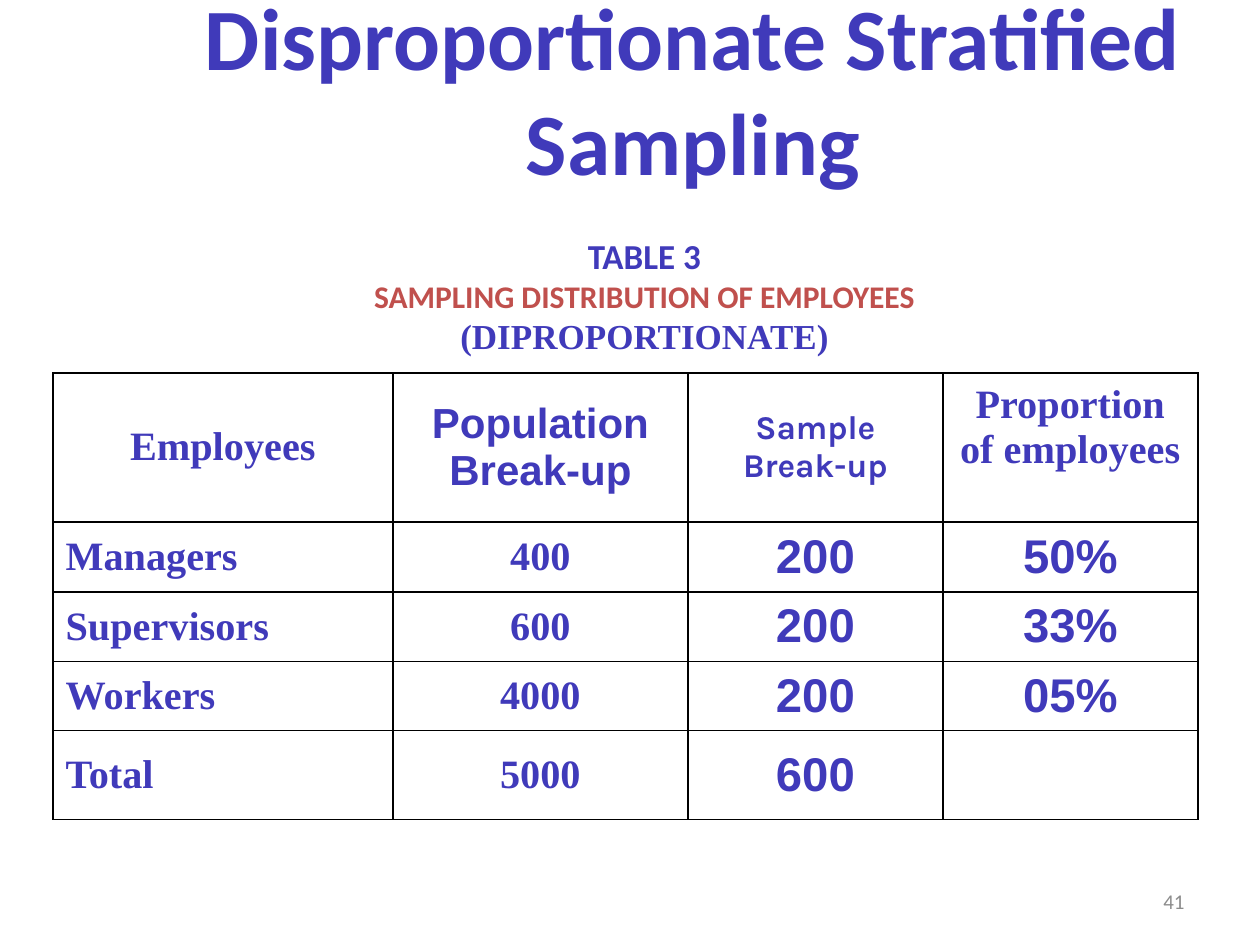
from dataclasses import dataclass

import pptx
import pptx.dml.color
import pptx.enum.text
import pptx.oxml
import pptx.oxml.ns
import pptx.util

PIXEL = pptx.util.Inches(1) // 126
INDIGO = "403ABA"
RED = "C0504D"
GREY = "8C8C8C"
BLACK = "000000"

Align = pptx.enum.text.PP_ALIGN
Anchor = pptx.enum.text.MSO_ANCHOR


@dataclass(frozen=True)
class Style:
    font: str
    size: int
    color: str = INDIGO
    bold: bool = True
    align: Align = Align.CENTER


@dataclass(frozen=True)
class Line:
    text: str
    style: Style


@dataclass(frozen=True)
class Box:
    left: int
    top: int
    width: int
    height: int


SERIF = Style("Times New Roman", 23)
LABEL = Style("Times New Roman", 23, align=Align.LEFT)
FIGURE = Style("Arial", 27)
ROW_STYLES = (LABEL, SERIF, FIGURE, FIGURE)

HEADER = (
    Line("Employees", SERIF),
    Line("Population Break-up", Style("Arial", 24)),
    Line("Sample\nBreak-up", Style("Karla", 19)),
    Line("Proportion of employees", SERIF),
)
ROWS = (
    ("Managers", "400", "200", "50%"),
    ("Supervisors", "600", "200", "33%"),
    ("Workers", "4000", "200", "05%"),
    ("Total", "5000", "600", ""),
)
COLUMN_WIDTHS = (340, 295, 255, 255)
ROW_HEIGHTS = (148, 70, 69, 69, 89)
CAPTION = (
    Line("TABLE 3", Style("Calibri", 20)),
    Line("SAMPLING DISTRIBUTION OF EMPLOYEES", Style("Calibri", 18, RED)),
    Line("(DIPROPORTIONATE)", Style("Times New Roman", 20)),
)


def px(length: int) -> int:
    return length * PIXEL


def rgb(color: str) -> pptx.dml.color.RGBColor:
    return pptx.dml.color.RGBColor.from_string(color)


def style_paragraph(paragraph, style: Style) -> None:
    paragraph.alignment = style.align
    paragraph.font.name = style.font
    paragraph.font.size = pptx.util.Pt(style.size)
    paragraph.font.bold = style.bold
    paragraph.font.color.rgb = rgb(style.color)


def add_text(slide, box: Box, lines: tuple[Line, ...], anchor: Anchor):
    shape = slide.shapes.add_textbox(
        px(box.left), px(box.top), px(box.width), px(box.height)
    )
    frame = shape.text_frame
    frame.word_wrap = True
    frame.vertical_anchor = anchor
    frame.text = "\n".join(line.text for line in lines)
    for paragraph, line in zip(frame.paragraphs, lines):
        style_paragraph(paragraph, line.style)
    return frame


def add_caption(slide) -> None:
    frame = add_text(slide, Box(253, 192, 720, 243), CAPTION, Anchor.TOP)
    frame.margin_left = frame.margin_right = frame.margin_bottom = 0
    frame.margin_top = px(43)
    for paragraph in frame.paragraphs:
        paragraph._p.get_or_add_pPr().set("indent", str(px(63)))


def add_borders(cell, color: str) -> None:
    properties = cell._tc.get_or_add_tcPr()
    for side in ("lnL", "lnR", "lnT", "lnB"):
        properties.append(
            pptx.oxml.parse_xml(
                f'<a:{side} {pptx.oxml.ns.nsdecls("a")} w="{pptx.util.Pt(1)}">'
                f'<a:solidFill><a:srgbClr val="{color}"/></a:solidFill></a:{side}>'
            )
        )


def fill_cell(cell, line: Line) -> None:
    add_borders(cell, BLACK)
    cell.fill.background()
    cell.vertical_anchor = Anchor.MIDDLE
    cell.text = line.text
    for paragraph in cell.text_frame.paragraphs:
        style_paragraph(paragraph, line.style)


def add_sampling_table(slide) -> None:
    body = tuple(
        tuple(Line(text, style) for text, style in zip(row, ROW_STYLES))
        for row in ROWS
    )
    table = slide.shapes.add_table(
        len(ROW_HEIGHTS), len(COLUMN_WIDTHS),
        px(53), px(373), px(sum(COLUMN_WIDTHS)), px(sum(ROW_HEIGHTS)),
    ).table
    table.first_row = False
    table.horz_banding = False
    for column, width in zip(table.columns, COLUMN_WIDTHS):
        column.width = px(width)
    for row, height, lines in zip(table.rows, ROW_HEIGHTS, (HEADER, *body)):
        row.height = px(height)
        for cell, line in zip(row.cells, lines):
            fill_cell(cell, line)
    table.cell(0, 3).margin_bottom = px(46)


def main() -> None:
    presentation = pptx.Presentation()
    presentation.slide_width = pptx.util.Inches(10)
    presentation.slide_height = pptx.util.Inches(7.5)
    slide = presentation.slides.add_slide(presentation.slide_layouts[6])
    number = Line("41", Style("Calibri", 12, GREY, False, Align.RIGHT))
    title = Line("Disproportionate Stratified Sampling", Style("Calibri", 50))
    add_text(slide, Box(903, 876, 294, 50), (number,), Anchor.MIDDLE)
    add_text(slide, Box(189, 42, 1008, 157), (title,), Anchor.BOTTOM)
    add_caption(slide)
    add_sampling_table(slide)
    presentation.save("out.pptx")


if __name__ == "__main__":
    main()
